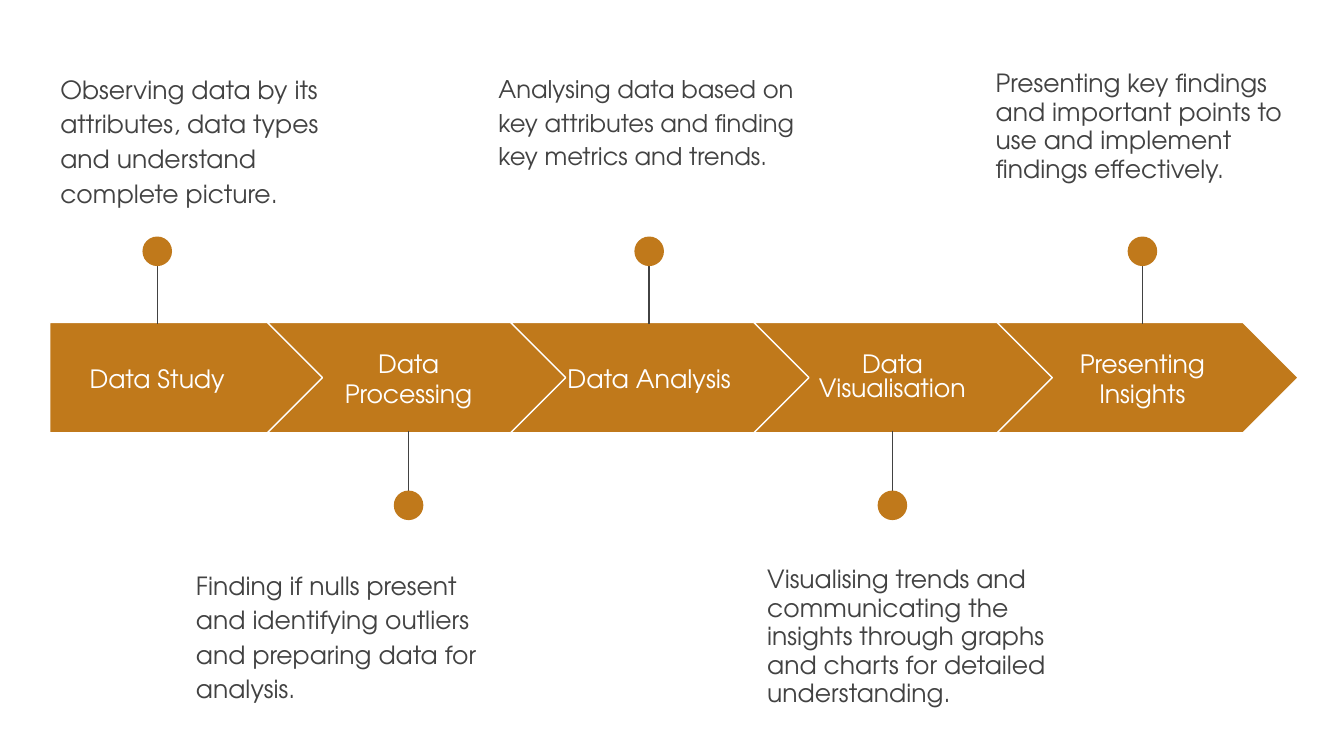
from pptx import Presentation
from pptx.dml.color import RGBColor
from pptx.enum.shapes import MSO_CONNECTOR, MSO_SHAPE
from pptx.enum.text import MSO_ANCHOR, PP_ALIGN
from pptx.oxml.ns import qn
from pptx.util import Inches, Pt

STRAIGHT = MSO_CONNECTOR.STRAIGHT
PENTAGON, CHEVRON, OVAL = MSO_SHAPE.PENTAGON, MSO_SHAPE.CHEVRON, MSO_SHAPE.OVAL
TOP, MIDDLE = MSO_ANCHOR.TOP, MSO_ANCHOR.MIDDLE
LEFT, CENTER = PP_ALIGN.LEFT, PP_ALIGN.CENTER

FONT = "TeX Gyre Adventor"
OCHRE, GREY, WHITE = "C0791B", "424242", "FFFFFF"

# Notes alternate above and below the arrow band; pin_x is the centre of pin and label.
STEPS = [
    {"label": "Data Study", "label_size": 13.5, "label_spacing": 1.0,
     "label_width": 1.59, "pin_x": 1.17,
     "note": "Observing data by its attributes, data types and understand complete picture.",
     "note_x": 0.35, "note_size": 13.4, "note_spacing": 1.15},
    {"label": "Data Processing", "label_size": 13.5, "label_spacing": 1.0,
     "label_width": 1.44, "pin_x": 3.04,
     "note": "Finding if nulls present and identifying outliers and preparing data for analysis.",
     "note_x": 1.36, "note_size": 13.4, "note_spacing": 1.15},
    {"label": "Data Analysis", "label_size": 13.6, "label_spacing": 1.0,
     "label_width": 1.44, "pin_x": 4.83,
     "note": "Analysing data based on key attributes and finding key metrics and trends.",
     "note_x": 3.61, "note_size": 13, "note_spacing": 1.15},
    {"label": "Data Visualisation", "label_size": 13.5, "label_spacing": 0.8,
     "label_width": 1.44, "pin_x": 6.64,
     "note": "Visualising trends and communicating the insights through graphs "
             "and charts for detailed understanding.",
     "note_x": 5.61, "note_size": 13.4, "note_spacing": 0.95},
    {"label": "Presenting Insights", "label_size": 13.5, "label_spacing": 1.0,
     "label_width": 1.44, "pin_x": 8.5,
     "note": "Presenting key findings and important points to use and implement "
             "findings effectively.",
     "note_x": 7.31, "note_size": 13.4, "note_spacing": 0.95},
]

BAND_TOP, BAND_HEIGHT = 2.4, 0.82
FIRST_X, FIRST_WIDTH = 0.37, 2.05
CHEVRON_X, CHEVRON_WIDTH, CHEVRON_STEP = 1.99, 2.24, 1.81
DOT = 0.22
LABEL_TOP, LABEL_HEIGHT = 2.56, 0.51
NOTE_WIDTH, NOTE_HEIGHT = 2.45, 0.99
ABOVE = {"dot_y": 1.76, "line_from": 1.8, "line_to": 2.41, "note_y": 0.42}
BELOW = {"dot_y": 3.65, "line_from": 3.82, "line_to": 3.21, "note_y": 4.11}


def color(hex_text):
    return RGBColor.from_string(hex_text)


def add_filled(page, kind, x, y, width, height, outline=None):
    shape = page.shapes.add_shape(kind, Inches(x), Inches(y), Inches(width), Inches(height))
    shape.shadow.inherit = False
    shape.fill.solid()
    shape.fill.fore_color.rgb = color(OCHRE)
    if outline:
        shape.line.color.rgb = color(outline)
        shape.line.width = Pt(0.75)
    else:
        shape.line.fill.background()
    return shape


def add_text(page, text, x, y, width, height, ink, size, anchor, paragraph_format):
    box = page.shapes.add_textbox(Inches(x), Inches(y), Inches(width), Inches(height))
    frame = box.text_frame
    frame_format = {"word_wrap": True, "vertical_anchor": anchor}
    for side in ("left", "right", "top", "bottom"):
        frame_format[f"margin_{side}"] = Inches(0.1)
    for name, value in frame_format.items():
        setattr(frame, name, value)
    para = frame.paragraphs[0]
    for name, value in paragraph_format.items():
        setattr(para, name, value)
    span = para.add_run()
    span.text = text
    span.font.name = FONT
    span.font.size = Pt(size)
    span.font.color.rgb = color(ink)


def add_pin(page, x, side):
    """Draw the stem and dot that tie a note to its arrow."""
    stem = page.shapes.add_connector(STRAIGHT, Inches(x), Inches(side["line_from"]),
                                     Inches(x), Inches(side["line_to"]))
    stem.line.color.rgb = color(GREY)
    stem.line.width = Pt(0.75)
    properties = stem.element.spPr
    properties.append(properties.makeelement(qn("a:effectLst"), {}))
    add_filled(page, OVAL, x - DOT / 2, side["dot_y"], DOT, DOT)


def add_step(page, index, step):
    if index == 0:
        kind, x, width = PENTAGON, FIRST_X, FIRST_WIDTH
    else:
        kind, width = CHEVRON, CHEVRON_WIDTH
        x = CHEVRON_X + (index - 1) * CHEVRON_STEP
    arrow = add_filled(page, kind, x, BAND_TOP, width, BAND_HEIGHT, WHITE)
    arrow.adjustments[0] = 0.5

    add_text(page, step["label"], step["pin_x"] - step["label_width"] / 2, LABEL_TOP,
             step["label_width"], LABEL_HEIGHT, WHITE, step["label_size"], MIDDLE,
             {"alignment": CENTER, "line_spacing": step["label_spacing"]})
    side = BELOW if index % 2 else ABOVE
    add_pin(page, step["pin_x"], side)
    add_text(page, step["note"], step["note_x"], side["note_y"], NOTE_WIDTH, NOTE_HEIGHT,
             GREY, step["note_size"], TOP,
             {"alignment": LEFT, "line_spacing": step["note_spacing"],
              "space_after": Pt(12)})


def main():
    deck = Presentation()
    deck.slide_width = Inches(10)
    deck.slide_height = deck.slide_width * 9 // 16
    page = deck.slides.add_slide(deck.slide_layouts[6])
    for index, step in enumerate(STEPS):
        add_step(page, index, step)
    deck.save("out.pptx")


if __name__ == "__main__":
    main()
